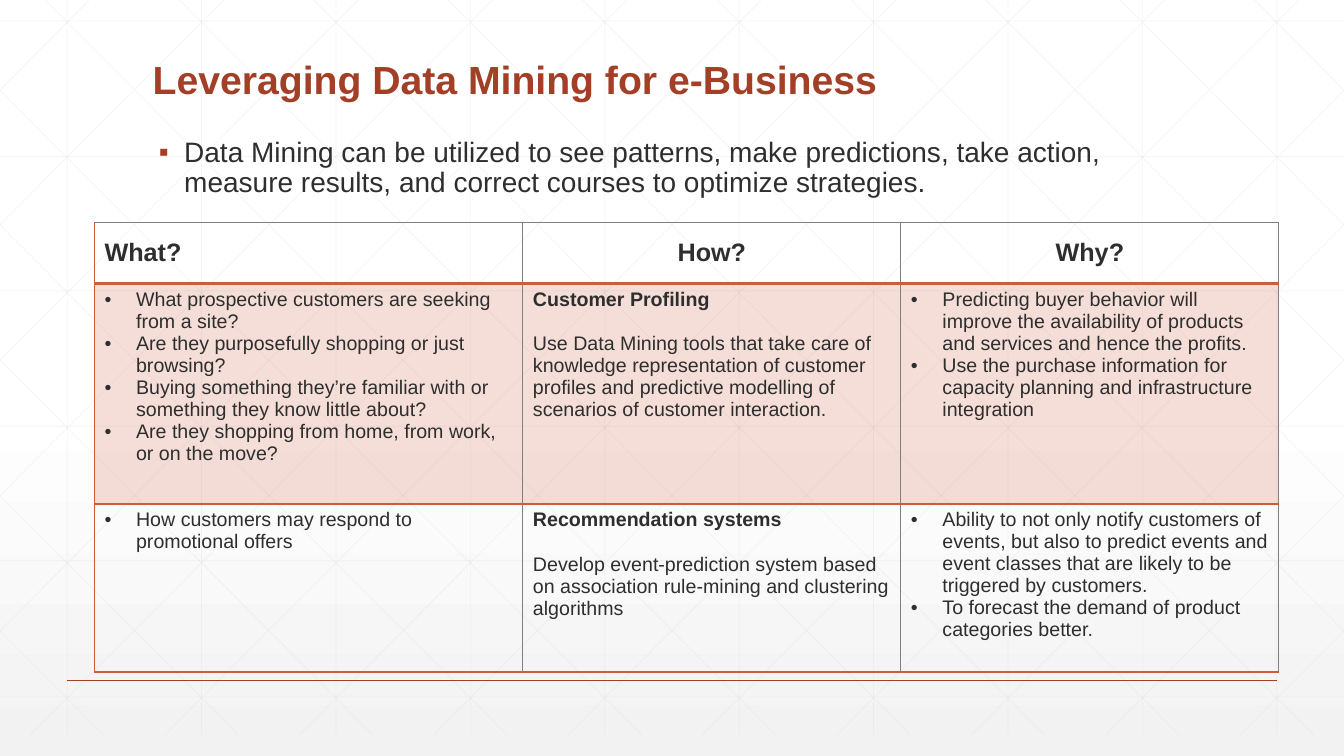
from copy import deepcopy

from lxml import etree
from pptx import Presentation
from pptx.dml.color import RGBColor
from pptx.enum.shapes import MSO_CONNECTOR
from pptx.enum.text import MSO_ANCHOR, PP_ALIGN
from pptx.oxml.ns import qn
from pptx.util import Pt

PX = 9525
W, H = 1280, 720
STRAIGHT = MSO_CONNECTOR.STRAIGHT
TOP, MIDDLE = MSO_ANCHOR.TOP, MSO_ANCHOR.MIDDLE
LEFT, CENTER = PP_ALIGN.LEFT, PP_ALIGN.CENTER

THEME = {
    "font": "Arial",
    "ink": "2D2E2D", "rust": "A43F27", "accent": "D15A3E",
    "border": "7F7F7F", "grid": "D9D9D9", "white": "FFFFFF", "shade": "F2F2F2",
    "title": 28, "lead": 20, "head": 18, "cell": 14, "gap": 16,
}


def write(tf, text, size, color="ink", bold=False, align=LEFT, spacing=1.0,
          before=0, bullet=None, bullet_color="ink", hang=0):
    """Fill the first paragraph of tf if it is empty, otherwise add one."""
    p = tf.paragraphs[0]
    if p.runs:
        p = tf.add_paragraph()
    p.alignment, p.line_spacing, p.space_before = align, spacing, Pt(before)
    r = p.add_run()
    r.text = text
    r.font.name, r.font.size, r.font.bold = THEME["font"], Pt(THEME[size]), bold
    r.font.color.rgb = RGBColor.from_string(THEME[color])
    if bullet:
        pPr = p._p.get_or_add_pPr()
        pPr.set("marL", str(hang * PX))
        pPr.set("indent", str(-hang * PX))
        clr = etree.SubElement(pPr, qn("a:buClr"))
        etree.SubElement(clr, qn("a:srgbClr"), val=THEME[bullet_color])
        etree.SubElement(pPr, qn("a:buFont"), typeface=THEME["font"])
        etree.SubElement(pPr, qn("a:buChar"), char=bullet)


def rule(x1, y1, x2, y2, color="grid", width=0.5, alpha=25):
    c = s.shapes.add_connector(STRAIGHT, *(round(v) * PX for v in (x1, y1, x2, y2)))
    c.line.width = Pt(width)
    c.line.color.rgb = RGBColor.from_string(THEME[color])
    spPr = c._element.spPr
    etree.SubElement(spPr.find(".//" + qn("a:srgbClr")), qn("a:alpha"),
                     val=str(alpha * 1000))
    etree.SubElement(spPr, qn("a:effectLst"))


prs = Presentation()
prs.slide_width, prs.slide_height = W * PX, H * PX
s = prs.slides.add_slide(prs.slide_layouts[6])

# Background gradient
fill = s.background.fill
fill.gradient()
fill.gradient_angle = 270
first_stop = s._element.find(".//" + qn("a:gs"))
first_stop.addnext(deepcopy(first_stop))
stops = [(0, "white"), (0.53, "white"), (1, "shade")]
for stop, (position, color) in zip(fill.gradient_stops, stops):
    stop.position = position
    stop.color.rgb = RGBColor.from_string(THEME[color])

# Background lattice
STEP, FLOOR = 128, 700
for i in range(10):
    rule(64 + STEP * i, 0, 64 + STEP * i, FLOOR)
for i in range(6):
    y = 20 + 128.6 * i
    rule(0, y, W, y)
SLOPE = 0.994
for i in range(-5, 10):
    top_x = 43 + STEP * i
    x1, x2 = max(top_x, 0), min(top_x + FLOOR * SLOPE, W)
    y1, y2 = (x1 - top_x) / SLOPE, (x2 - top_x) / SLOPE
    rule(x1, y1, x2, y2)
    rule(W - x1, y1, W - x2, y2)

rule(64, 648, 1216, 648, color="rust", width=1, alpha=100)

# Title and lead sentence
text_boxes = [
    ((136, 53, 1008, 60), "Leveraging Data Mining for e-Business",
     dict(size="title", color="rust", bold=True)),
    ((142, 127, 1008, 80),
     "Data Mining can be utilized to see patterns, make predictions, take action, "
     "measure results, and correct courses to optimize strategies.",
     dict(size="lead", bullet="▪", bullet_color="rust", hang=24)),
]
for box, text, style in text_boxes:
    tf = s.shapes.add_textbox(*(v * PX for v in box)).text_frame
    tf.word_wrap = True
    tf.vertical_anchor = TOP
    write(tf, text, spacing=0.9, **style)

# Table: the middle column holds a heading and a text, the others hold bullets
HEADINGS = ["What?", "How?", "Why?"]
ROWS = [
    [["What prospective customers are seeking from a site?",
      "Are they purposefully shopping or just browsing?",
      "Buying something they’re familiar with or something they know little about?",
      "Are they shopping from home, from work, or on the move?"],
     ["Customer Profiling",
      "Use Data Mining tools that take care of knowledge representation of customer "
      "profiles and predictive modelling of scenarios of customer interaction."],
     ["Predicting buyer behavior will improve the availability of products and "
      "services and hence the profits.",
      "Use the purchase information for capacity planning and infrastructure "
      "integration"]],
    [["How customers may respond to promotional offers"],
     ["Recommendation systems",
      "Develop event-prediction system based on association rule-mining and "
      "clustering algorithms"],
     ["Ability to not only notify customers of events, but also to predict events "
      "and event classes that are likely to be triggered by customers.",
      "To forecast the demand of product categories better."]],
]
COLS, HEIGHTS = [408, 360, 360], [58, 210, 160]
table = s.shapes.add_table(3, 3, 90 * PX, 212 * PX, sum(COLS) * PX,
                           sum(HEIGHTS) * PX).table
table.first_row = table.horz_banding = False
for column, width in zip(table.columns, COLS):
    column.width = width * PX
for row, height in zip(table.rows, HEIGHTS):
    row.height = height * PX

for c, heading in enumerate(HEADINGS):
    cell = table.cell(0, c)
    cell.vertical_anchor = MIDDLE
    write(cell.text_frame, heading, "head", bold=True, align=CENTER if c else LEFT)
    for r, row in enumerate(ROWS, 1):
        tf = table.cell(r, c).text_frame
        for i, text in enumerate(row[c]):
            if c == 1:
                write(tf, text, "cell", bold=i == 0, before=THEME["gap"] * i)
            else:
                write(tf, text, "cell", bullet="•", hang=30)

# Cell fills and borders
for r in range(3):
    for c in range(3):
        cell = table.cell(r, c)
        tcPr = cell._tc.get_or_add_tcPr()
        if r == 1:
            cell.fill.solid()
            cell.fill.fore_color.rgb = RGBColor.from_string(THEME["accent"])
            etree.SubElement(tcPr.find(".//" + qn("a:srgbClr")), qn("a:alpha"),
                             val="20000")
        else:
            cell.fill.background()
        borders = [
            ("lnL", "border" if c else "accent", 1),
            ("lnR", "border", 1),
            ("lnT", "accent" if r else "border", 2 if r == 1 else 1),
            ("lnB", "accent", 1 if r else 2),
        ]
        for i, (side, color, width) in enumerate(borders):
            ln = etree.Element(qn("a:" + side), w=str(Pt(width)))
            solid = etree.SubElement(ln, qn("a:solidFill"))
            etree.SubElement(solid, qn("a:srgbClr"), val=THEME[color])
            tcPr.insert(i, ln)

prs.save("out.pptx")
